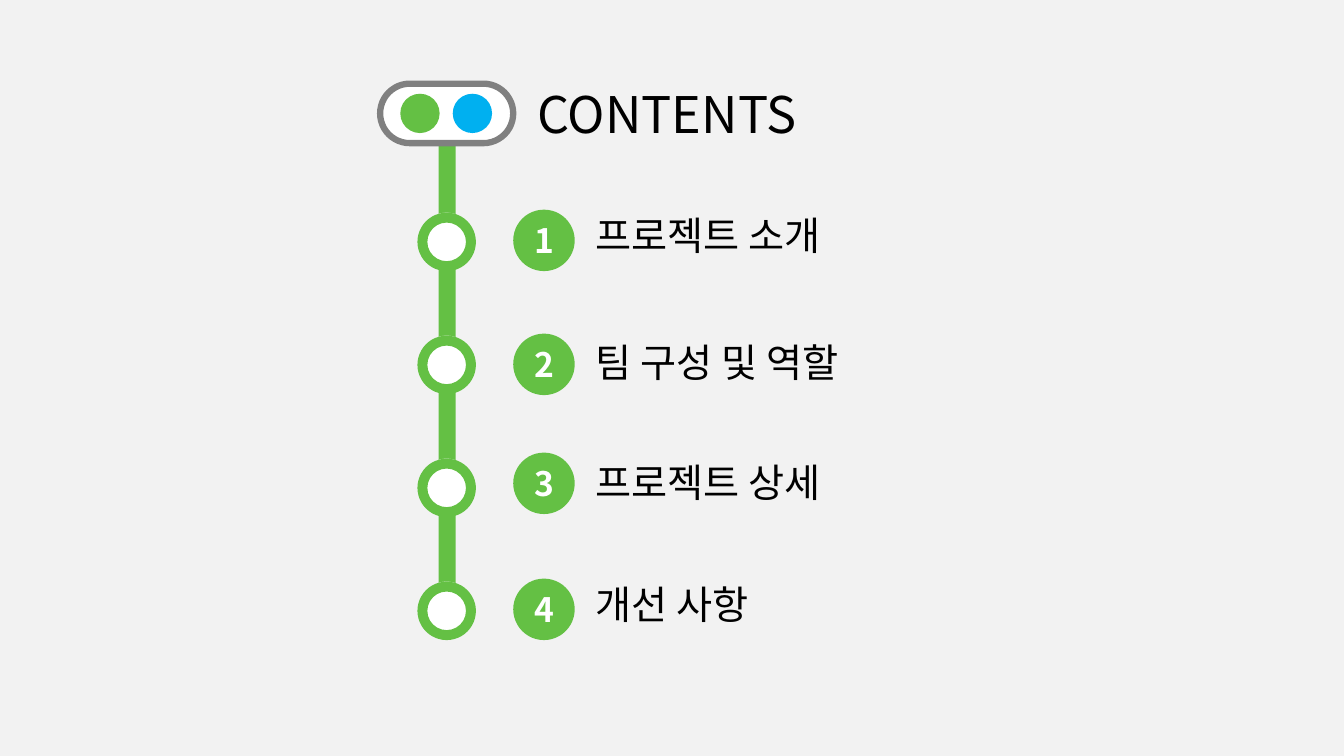
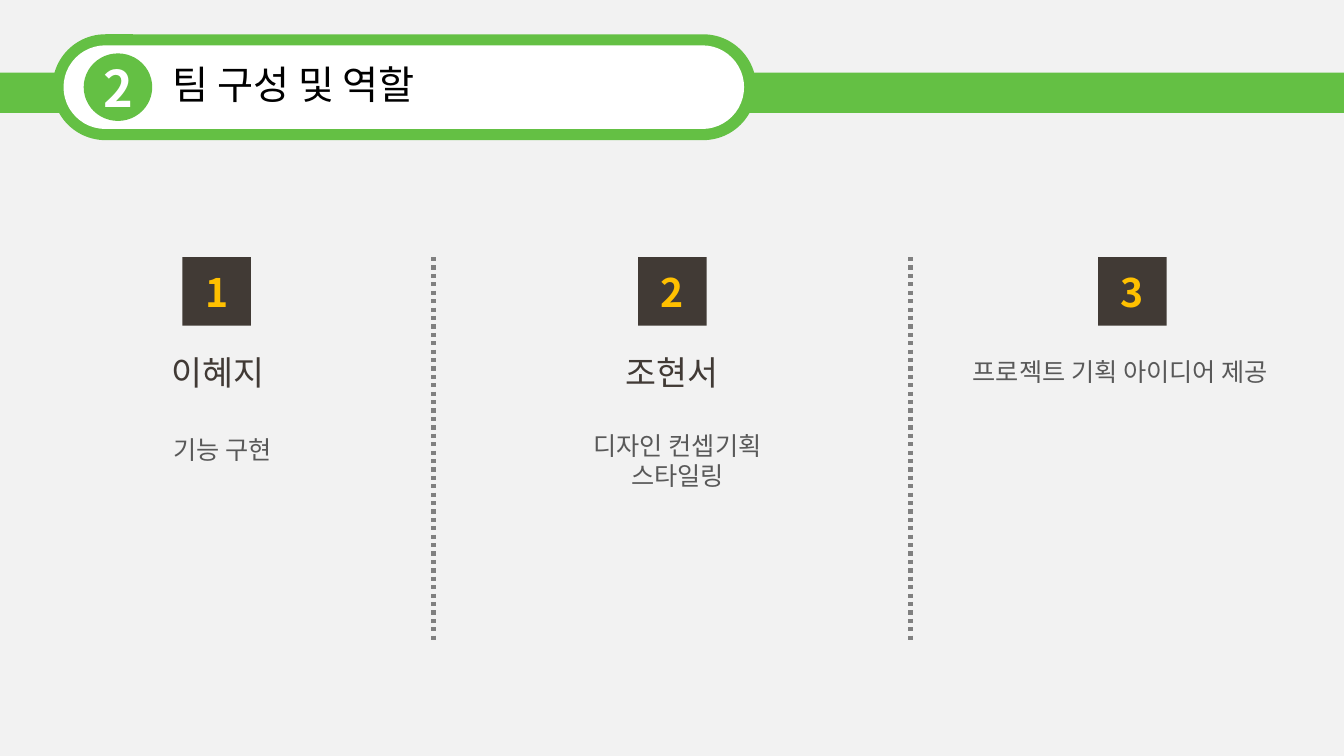
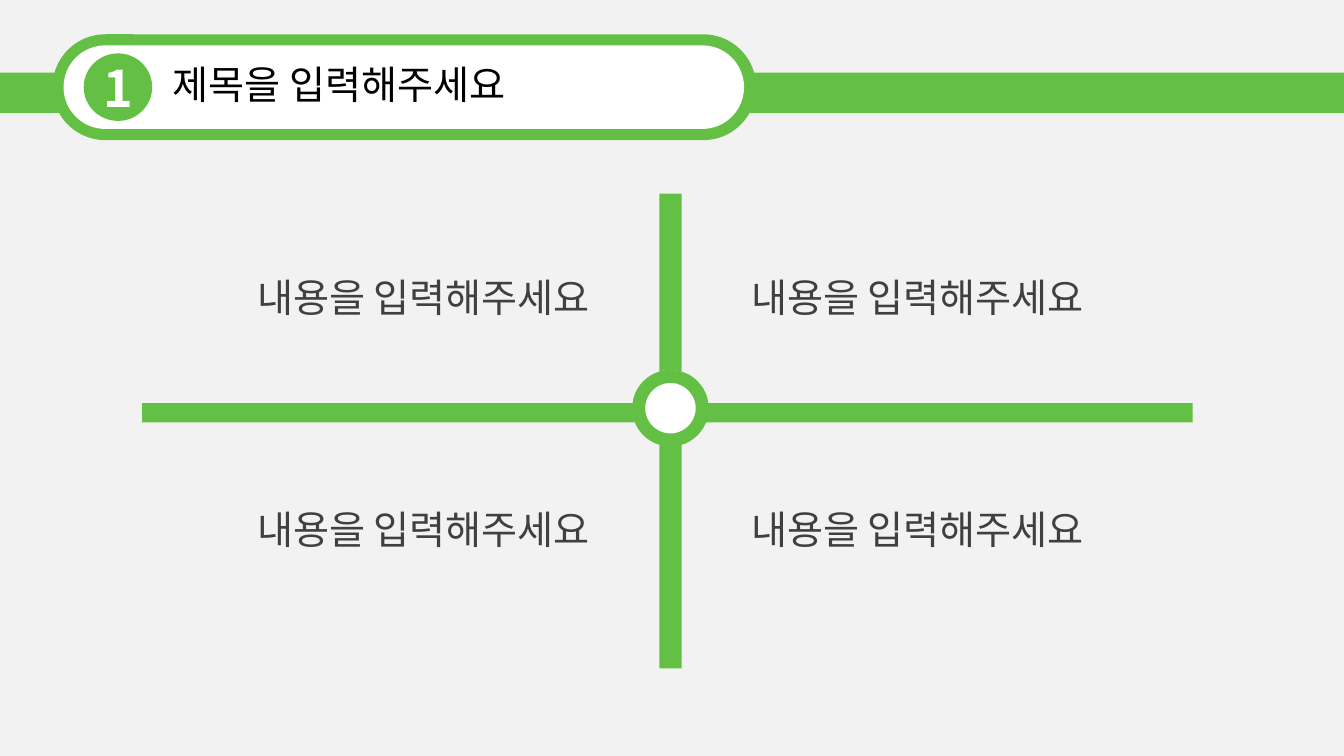
"""Build the contents, team and four-field slides of a green metro-style deck."""
import pptx
import pptx.util
import pptx.dml.color
import pptx.enum.dml
import pptx.enum.shapes
import pptx.enum.text
import pptx.oxml.ns
import lxml.etree

Inches = pptx.util.Inches
Kind = pptx.enum.shapes.MSO_SHAPE
Align = pptx.enum.text.PP_ALIGN
Anchor = pptx.enum.text.MSO_ANCHOR
FONT = "Noto Sans CJK KR"
HUES = {
    "back": "F2F2F2", "green": "64C044", "blue": "00B0F0", "white": "FFFFFF",
    "black": "000000", "gray": "808080", "brown": "413A35", "gold": "FFC000",
    "text": "404040", "soft": "595959",
}


def hue(name):
    """Return the named colour."""
    return pptx.dml.color.RGBColor.from_string(HUES[name])


class Deck:
    """Hold the style and the current slide."""

    def __init__(self):
        """Start a wide deck with a grey master."""
        self.prs = pptx.Presentation()
        self.prs.slide_width = Inches(13.33)
        self.prs.slide_height = Inches(7.5)
        fill = self.prs.slide_master.background.fill
        fill.solid()
        fill.fore_color.rgb = hue("back")

    def start(self):
        """Add a title-only slide."""
        self.slide = self.prs.slides.add_slide(self.prs.slide_layouts[5])

    def letter(self, frame, text, color, align=Align.LEFT, anchor=Anchor.TOP, **style):
        """Fill a text frame with evenly styled lines."""
        frame.text = text
        look = {"word_wrap": True, "vertical_anchor": anchor,
                "auto_size": pptx.enum.text.MSO_AUTO_SIZE.NONE}
        for key, val in look.items():
            setattr(frame, key, val)
        style = {"name": FONT, "bold": False, **style}
        style["size"] = pptx.util.Pt(style["size"])
        for para in frame.paragraphs:
            para.alignment = align
            for run in para.runs:
                for key, val in style.items():
                    setattr(run.font, key, val)
                run.font.color.rgb = hue(color)
                latin = run.font._element.find(pptx.oxml.ns.qn("a:latin"))
                east = lxml.etree.Element(pptx.oxml.ns.qn("a:ea"), typeface=FONT)
                latin.addnext(east)

    def shape(self, kind, x, y, w, h, color, adj=None):
        """Add a flat shape without outline."""
        item = self.slide.shapes.add_shape(kind, *map(Inches, (x, y, w, h)))
        item.shadow.inherit = False
        item.fill.solid()
        item.fill.fore_color.rgb = hue(color)
        item.line.fill.background()
        if adj is not None:
            item.adjustments[0] = adj
        return item

    def badge(self, kind, x, y, w, h, color, text, ink, size):
        """Add a shape with a bold centred number."""
        frame = self.shape(kind, x, y, w, h, color).text_frame
        for side in ("left", "right", "top", "bottom"):
            setattr(frame, "margin_" + side, 0)
        self.letter(frame, text, ink, Align.CENTER, Anchor.MIDDLE, size=size, bold=True)

    def text(self, x, y, w, h, text, color, size, align=Align.LEFT):
        """Add a text box."""
        box = self.slide.shapes.add_textbox(*map(Inches, (x, y, w, h)))
        self.letter(box.text_frame, text, color, align, size=size)

    def title(self, x, y, w, h, text, size):
        """Place the title in front of the shapes so far."""
        item = self.slide.shapes.title
        place = {"left": x, "top": y, "width": w, "height": h}
        for key, val in place.items():
            setattr(item, key, Inches(val))
        self.letter(item.text_frame, text, "black", size=size)
        item.element.getparent().append(item.element)

    def node(self, x, y, size):
        """Add a white station with a green ring."""
        disc = size * 0.9
        self.shape(Kind.OVAL, x + (size - disc) / 2, y, disc, disc, "white")
        self.shape(Kind.DONUT, x, y, size, size, "green", 0.17)

    def band(self, num, text):
        """Add the green line with its numbered title sign."""
        self.start()
        self.shape(Kind.RECTANGLE, -0.04, 0.72, 13.37, 0.4, "green")
        self.shape(Kind.ROUNDED_RECTANGLE, 0.52, 0.34, 6.98, 1.05, "green", 0.5)
        self.shape(Kind.ROUNDED_RECTANGLE, 0.63, 0.45, 6.75, 0.83, "white", 0.5)
        self.badge(Kind.OVAL, 0.83, 0.53, 0.68, 0.67, "green", num, "white", 36)
        self.title(1.61, 0.55, 4.74, 0.57, text, 28)

    def dots(self, x, top, end):
        """Add a dotted upright line."""
        rule = self.slide.shapes.add_connector(
            pptx.enum.shapes.MSO_CONNECTOR.STRAIGHT, *map(Inches, (x, top, x, end)))
        rule.line.color.rgb = hue("gray")
        rule.line.width = pptx.util.Pt(3)
        rule.line.dash_style = pptx.enum.dml.MSO_LINE.ROUND_DOT
        lxml.etree.SubElement(rule.element.spPr, pptx.oxml.ns.qn("a:effectLst"))


def contents(deck):
    """Draw the contents as stops on a line."""
    deck.start()
    rows = [(2.08, 2.05, "프로젝트 소개"), (3.31, 3.31, "팀 구성 및 역할"),
            (4.49, 4.5, "프로젝트 상세"), (5.74, 5.71, "개선 사항")]
    for i, (top, line, text) in enumerate(rows):
        stop = 2.11 + 1.22 * i
        deck.shape(Kind.RECTANGLE, 4.35, stop - 0.69, 0.17, 0.94, "green")
        deck.node(4.14, stop, 0.58)
        deck.badge(Kind.OVAL, 5.09, top, 0.61, 0.61, "green", str(i + 1), "white", 24)
        deck.text(5.81, line, 3.61, 0.57, text, "black", 28)
    sign = deck.shape(Kind.ROUNDED_RECTANGLE, 3.77, 0.83, 1.32, 0.59, "white", 0.5)
    sign.line.color.rgb = hue("gray")
    sign.line.width = pptx.util.Pt(4.5)
    for x, color in ((3.97, "green"), (4.49, "blue")):
        deck.shape(Kind.OVAL, x, 0.93, 0.39, 0.39, color)
    deck.title(5.23, 0.77, 3.99, 0.71, "CONTENTS", 36)


def team(deck):
    """Draw the three team columns."""
    deck.band("2", "팀 구성 및 역할")
    for i, x in enumerate((1.81, 6.33, 10.89)):
        deck.badge(Kind.RECTANGLE, x, 2.55, 0.68, 0.68, "brown", str(i + 1), "gold", 28)
    for x in (4.3, 9.03):
        deck.dots(x, 2.55, 6.38)
    for x, name in ((1.6, "이혜지"), (6.11, "조현서")):
        deck.text(x, 3.44, 1.98, 0.5, name, "brown", 24)
    deck.text(1.62, 4.26, 1.44, 0.4, "기능 구현", "soft", 18)
    deck.text(4.92, 4.22, 3.6, 0.71, "디자인 컨셉기획\n스타일링", "soft", 18, Align.CENTER)
    deck.text(9.55, 3.49, 3.6, 0.4, "프로젝트 기획 아이디어 제공", "soft", 18)


def fields(deck):
    """Draw the cross with four fields."""
    deck.band("1", "제목을 입력해주세요")
    deck.shape(Kind.RECTANGLE, 6.54, 1.92, 0.22, 4.71, "green")
    deck.shape(Kind.RECTANGLE, 1.41, 4, 10.42, 0.19, "green")
    deck.node(6.27, 3.67, 0.76)
    for y in (2.66, 4.96):
        for x in (2.34, 7.24):
            deck.text(x, y, 3.72, 1.04, "내용을 입력해주세요", "text", 28, Align.CENTER)


def main():
    """Build and save the deck."""
    deck = Deck()
    for draw in (contents, team, fields):
        draw(deck)
    deck.prs.save("out.pptx")


if __name__ == "__main__":
    main()
